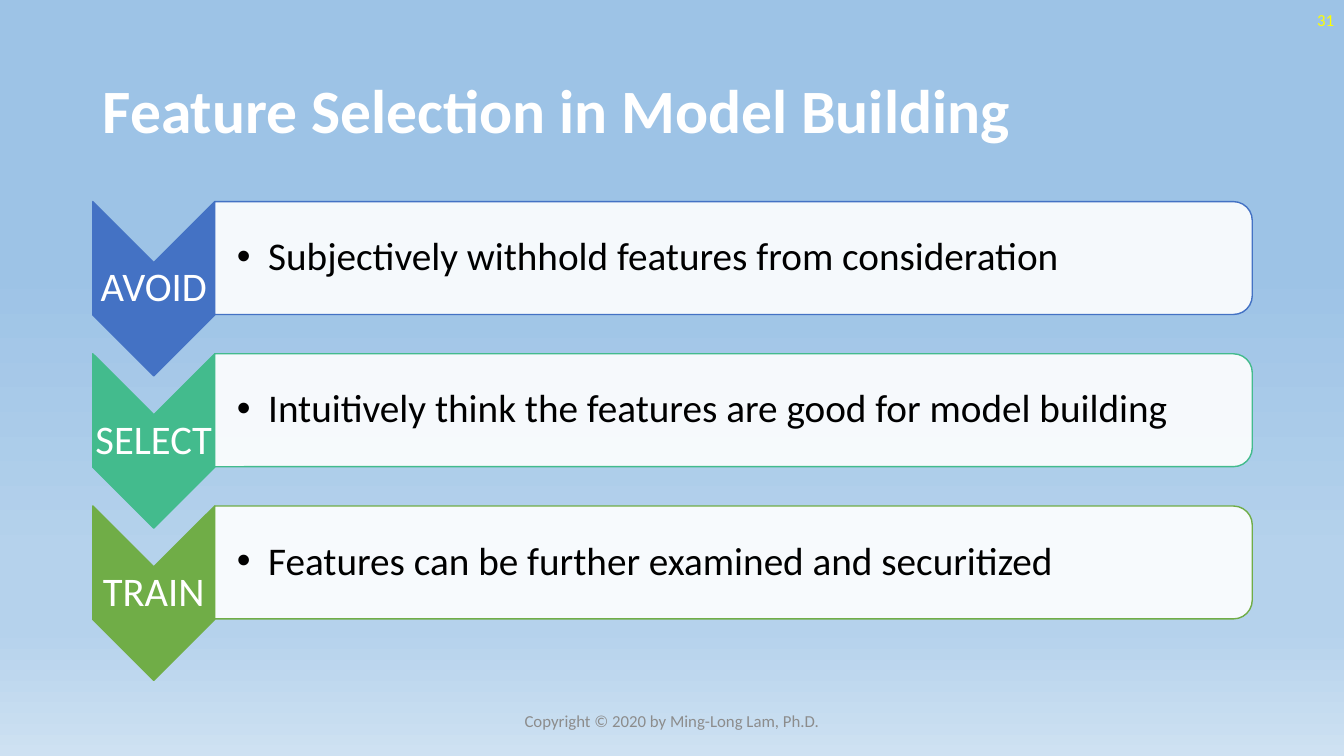
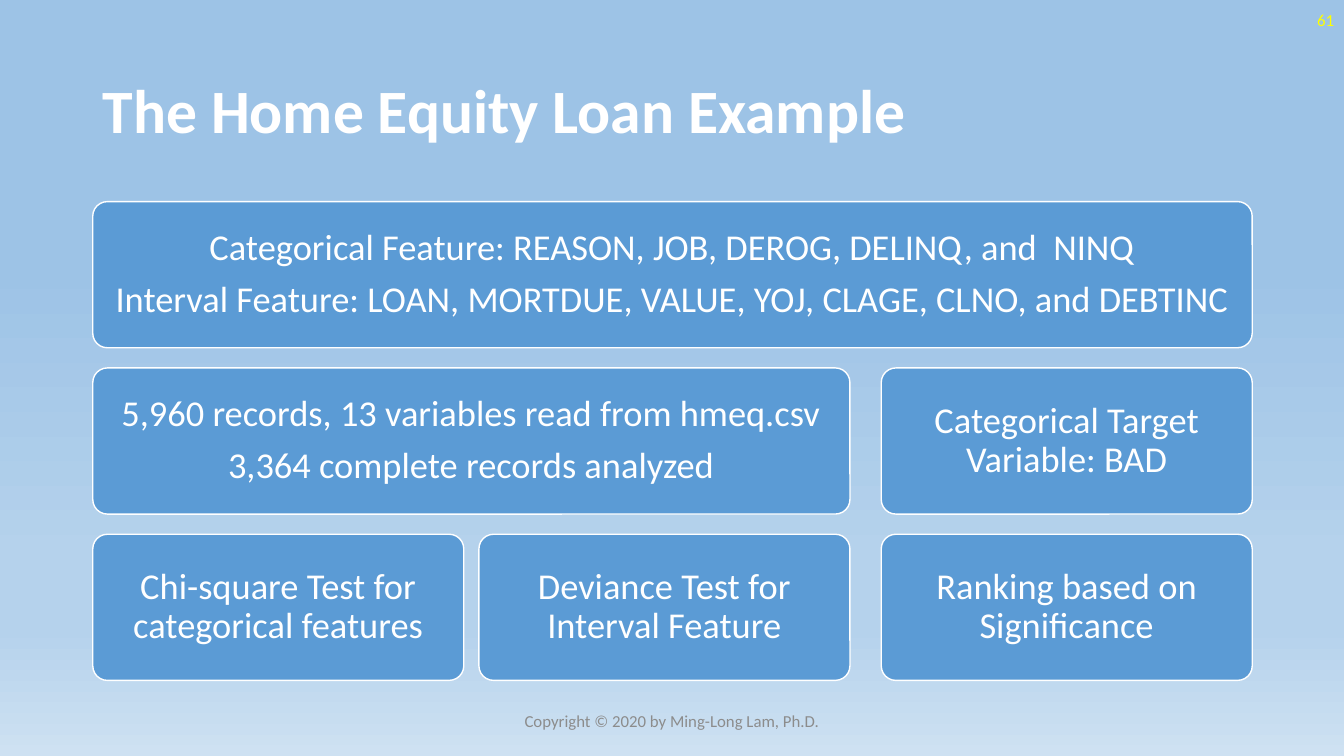
from dataclasses import dataclass
from typing import NamedTuple

from lxml import etree
from pptx import Presentation
from pptx.dml.color import RGBColor
from pptx.enum.shapes import MSO_SHAPE
from pptx.enum.text import MSO_ANCHOR, PP_ALIGN
from pptx.oxml.ns import qn
from pptx.util import Inches, Pt

CHEVRON = MSO_SHAPE.CHEVRON
BAR = MSO_SHAPE.ROUND_2_SAME_RECTANGLE
CARD = MSO_SHAPE.ROUNDED_RECTANGLE
MIDDLE = MSO_ANCHOR.MIDDLE
LEFT, CENTER, RIGHT = PP_ALIGN.LEFT, PP_ALIGN.CENTER, PP_ALIGN.RIGHT

COLORS = {
    "white": "FFFFFF", "black": "000000", "number": "FFFF00", "footer": "8C8C8C",
    "avoid": "4472C4", "select": "43BB8D", "train": "70AD47", "card": "5B9BD5",
}
SKY = ((35, "9DC3E6"), (74, "B5D2EC"), (83, "B5D2EC"), (100, "CEE1F2"))
FONT = "Calibri"


class Box(NamedTuple):
    left: float
    top: float
    width: float
    height: float


@dataclass(frozen=True)
class TextStyle:
    size: float
    color: str
    align: PP_ALIGN = LEFT
    bold: bool = False
    line_spacing: float = 1.0
    space_after: float = 0  # share of the text size
    bullet_indent: float = 0  # inches


@dataclass(frozen=True)
class Step:
    label: str
    advice: str
    color: str


@dataclass(frozen=True)
class Card:
    row: int
    column: int
    span: int
    lines: tuple[str, ...]


# Shared geometry, in inches
SLIDE_W, SLIDE_H = 13.33, 7.5
BODY = Box(0.92, 2, 11.5, 4.75)
TITLE_BOX = Box(BODY.left, 0.4, BODY.width, 1.45)
NUMBER_BOX = Box(SLIDE_W - 3, 0, 3, 0.4)
FOOTER_BOX = Box((SLIDE_W - 4.5) / 2, 6.95, 4.5, 0.4)
MARGINS = (0.1, 0.05, 0.1, 0.05)
TIGHT = (0.02,) * 4

TITLE = TextStyle(44, "white", bold=True, line_spacing=0.9)
NUMBER = TextStyle(12, "number", RIGHT)
FOOTER = TextStyle(12, "footer", CENTER)
STEP_LABEL = TextStyle(29, "white", CENTER, line_spacing=0.9, space_after=0.35)
ADVICE = TextStyle(28, "black", line_spacing=0.9, space_after=0.15, bullet_indent=0.31)
CARD_TEXT = TextStyle(26, "white", CENTER, line_spacing=0.9, space_after=0.35)

STEPS = (
    Step("AVOID", "Subjectively withhold features from consideration", "avoid"),
    Step("SELECT", "Intuitively think the features are good for model building", "select"),
    Step("TRAIN", "Features can be further examined and securitized", "train"),
)
CHEVRON_W, CHEVRON_H, BAR_H = 1.21, 1.73, 1.12

CARDS = (
    Card(0, 0, 3, ("Categorical Feature: REASON, JOB, DEROG, DELINQ, and  NINQ",
                   "Interval Feature: LOAN, MORTDUE, VALUE, YOJ, CLAGE, CLNO, and DEBTINC")),
    Card(1, 0, 2, ("5,960 records, 13 variables read from hmeq.csv",
                   "3,364 complete records analyzed")),
    Card(1, 2, 1, ("Categorical Target Variable: BAD",)),
    Card(2, 0, 1, ("Chi-square Test for categorical features",)),
    Card(2, 1, 1, ("Deviance Test for Interval Feature",)),
    Card(2, 2, 1, ("Ranking based on Significance",)),
)
COLUMN_GAPS, ROW_GAP = (0.15, 0.31), 0.2


def rgb(name: str) -> RGBColor:
    return RGBColor.from_string(COLORS[name])


def inches(box: Box) -> list:
    return [Inches(length) for length in box]


def write(frame, lines: tuple[str, ...], style: TextStyle, margins=MARGINS) -> None:
    frame.word_wrap = True
    frame.vertical_anchor = MIDDLE
    (frame.margin_left, frame.margin_top,
     frame.margin_right, frame.margin_bottom) = (Inches(m) for m in margins)
    for index, line in enumerate(lines):
        paragraph = frame.add_paragraph() if index else frame.paragraphs[0]
        paragraph.text = line
        paragraph.alignment = style.align
        paragraph.line_spacing = style.line_spacing
        paragraph.space_after = Pt(round(style.size * style.space_after, 1))
        if style.bullet_indent:
            properties = paragraph._p.get_or_add_pPr()
            indent = Inches(style.bullet_indent)
            properties.set("marL", str(indent))
            properties.set("indent", str(-indent))
            etree.SubElement(properties, qn("a:buFont"), typeface="Arial")
            etree.SubElement(properties, qn("a:buChar"), char="•")
        font = paragraph.font
        font.name, font.size, font.bold = FONT, Pt(style.size), style.bold
        font.color.rgb = rgb(style.color)


def add_text(slide, box: Box, text: str, style: TextStyle, margins=MARGINS) -> None:
    write(slide.shapes.add_textbox(*inches(box)).text_frame, (text,), style, margins)


def add_panel(slide, kind, box: Box, fill: str, line: str, turned: bool = False):
    """Draw a preset shape filling the box, optionally turned a quarter clockwise."""
    if turned:
        shift = (box.width - box.height) / 2
        box = Box(box.left + shift, box.top - shift, box.height, box.width)
    panel = slide.shapes.add_shape(kind, *inches(box))
    panel.rotation = 90 if turned else 0
    panel.shadow.inherit = False
    panel.fill.solid()
    panel.fill.fore_color.rgb = rgb(fill)
    panel.line.color.rgb = rgb(line)
    panel.line.width = Pt(1)
    return panel


def set_opacity(panel, percent: int) -> None:
    color = panel._element.spPr.find(qn("a:solidFill"))[0]
    etree.SubElement(color, qn("a:alpha"), val=str(percent * 1000))


def paint_background(master) -> None:
    fill = master.background.fill
    fill.gradient()
    fill.gradient_angle = 270
    stops = master.element.find(".//" + qn("p:bg")).find(".//" + qn("a:gsLst"))
    for stop in list(stops):
        stops.remove(stop)
    for position, color in SKY:
        stop = etree.SubElement(stops, qn("a:gs"), pos=str(position * 1000))
        etree.SubElement(stop, qn("a:srgbClr"), val=color)


def add_page(prs, title: str, number: int):
    slide = prs.slides.add_slide(prs.slide_layouts[6])
    add_text(slide, TITLE_BOX, title, TITLE)
    add_text(slide, NUMBER_BOX, str(number), NUMBER)
    add_text(slide, FOOTER_BOX, "Copyright © 2020 by Ming-Long Lam, Ph.D.", FOOTER)
    return slide


def add_step(slide, index: int, step: Step) -> None:
    pitch = (BODY.height - CHEVRON_H) / (len(STEPS) - 1)
    top = BODY.top + index * pitch
    notch = CHEVRON_W / 2
    # Arrow with its label between the notch and the shoulders
    add_panel(slide, CHEVRON, Box(BODY.left, top, CHEVRON_W, CHEVRON_H),
              step.color, step.color, turned=True)
    label_box = Box(BODY.left, top + notch, CHEVRON_W, CHEVRON_H - 2 * notch)
    add_text(slide, label_box, step.label, STEP_LABEL, TIGHT)
    # Bar with the advice
    bar_box = Box(BODY.left + CHEVRON_W, top, BODY.width - CHEVRON_W, BAR_H)
    set_opacity(add_panel(slide, BAR, bar_box, "white", step.color, turned=True), 90)
    add_text(slide, bar_box, step.advice, ADVICE, (0.22, 0.02, 0.02, 0.02))


def add_card(slide, card: Card) -> None:
    column_w = (BODY.width - sum(COLUMN_GAPS)) / 3
    row_h = (BODY.height - 2 * ROW_GAP) / 3
    last = card.column + card.span - 1
    box = Box(
        BODY.left + card.column * column_w + sum(COLUMN_GAPS[:card.column]),
        BODY.top + card.row * (row_h + ROW_GAP),
        card.span * column_w + sum(COLUMN_GAPS[card.column:last]),
        row_h,
    )
    panel = add_panel(slide, CARD, box, "card", "white")
    panel.adjustments[0] = 0.1
    write(panel.text_frame, card.lines, CARD_TEXT, (0.15,) * 4)


def main() -> None:
    prs = Presentation()
    prs.slide_width, prs.slide_height = Inches(SLIDE_W), Inches(SLIDE_H)
    paint_background(prs.slide_master)

    # Feature selection steps
    slide = add_page(prs, "Feature Selection in Model Building", 31)
    for index, step in enumerate(STEPS):
        add_step(slide, index, step)

    # Home equity loan cards
    slide = add_page(prs, "The Home Equity Loan Example", 61)
    for card in CARDS:
        add_card(slide, card)

    prs.save("out.pptx")


if __name__ == "__main__":
    main()
